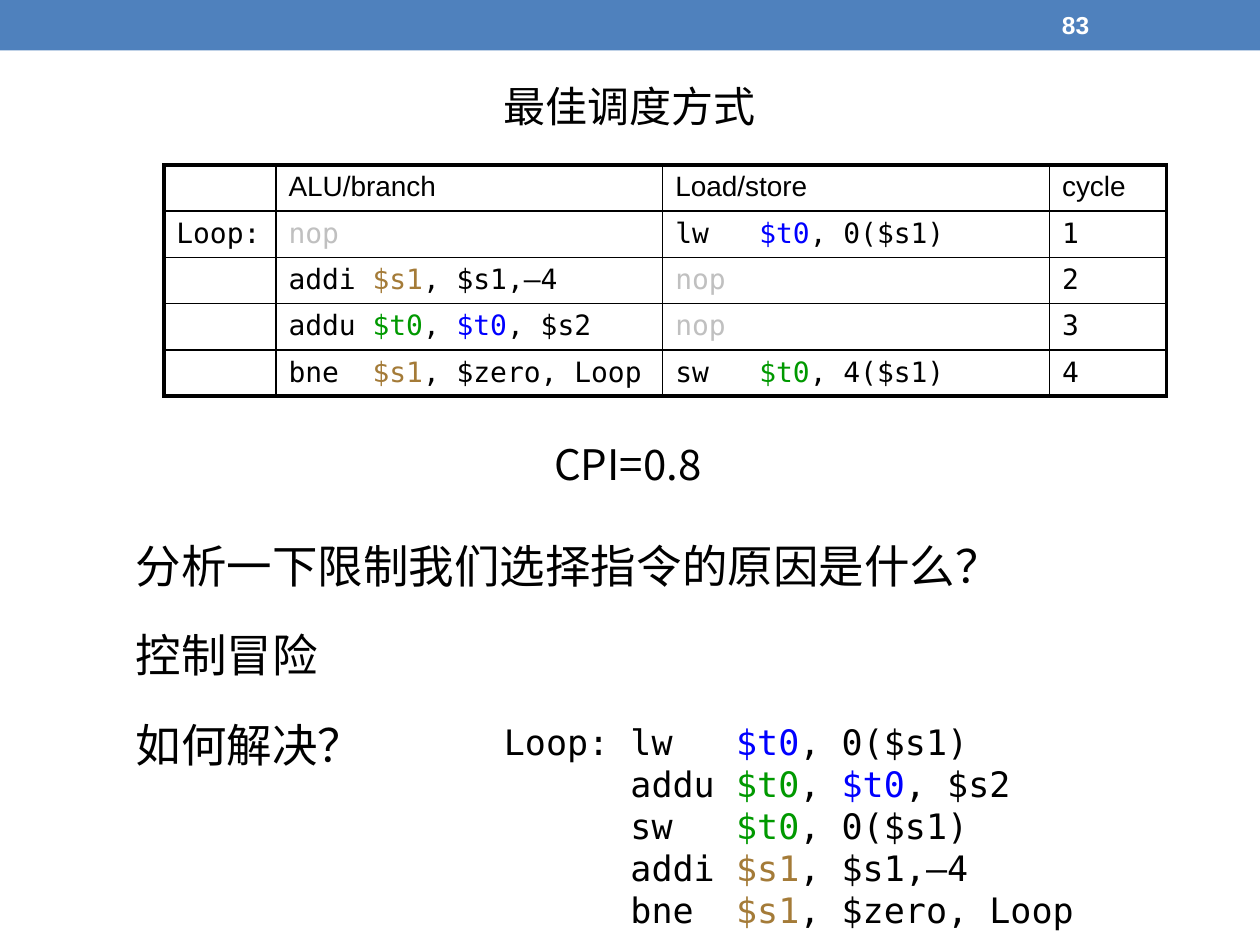
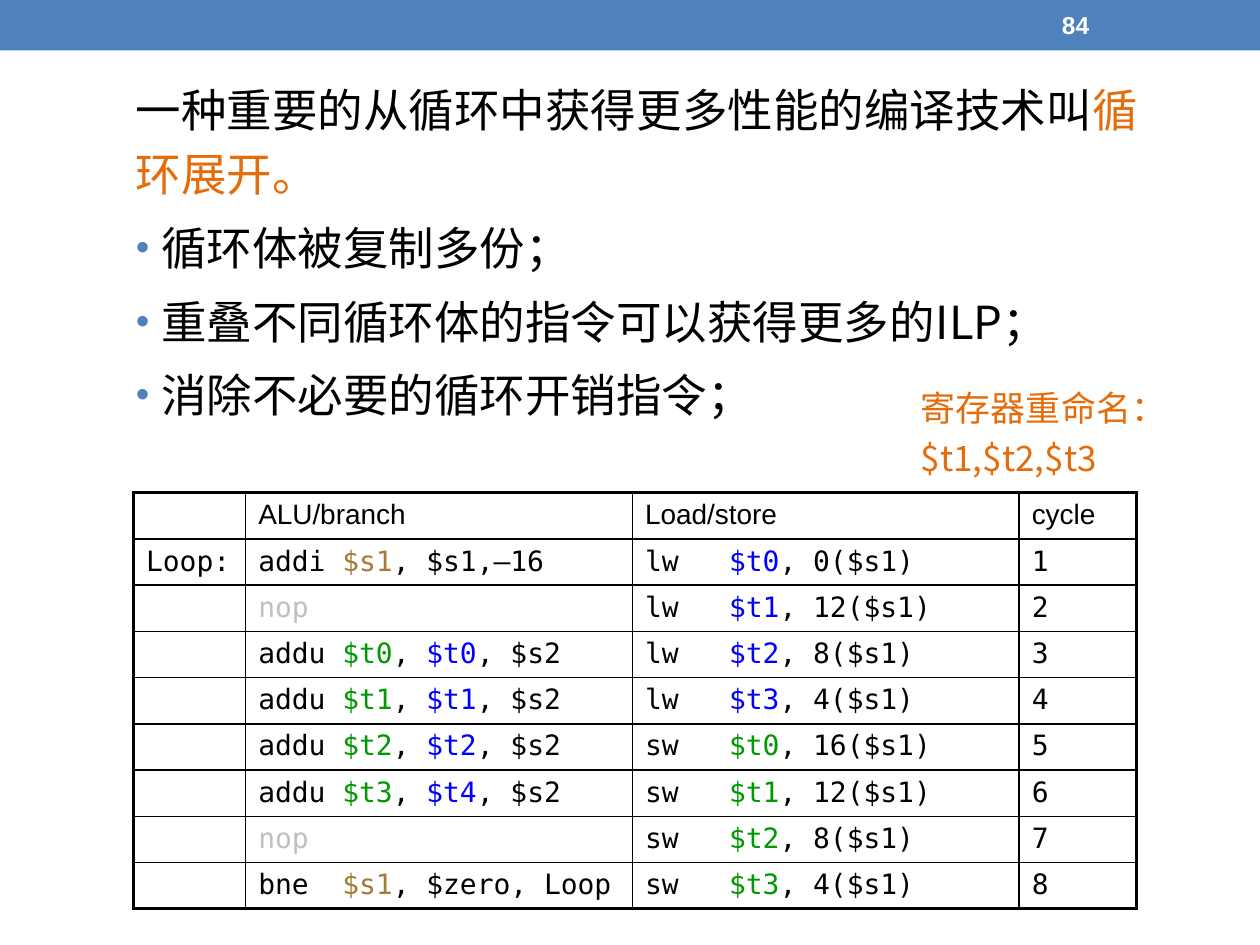
from dataclasses import dataclass
from typing import NamedTuple, Optional

from lxml import etree
from pptx import Presentation
from pptx import util as u
from pptx.dml import color
from pptx.enum import shapes, text
from pptx.oxml import ns

COLORS = {
    "band": "4F81BD", "white": "FFFFFF", "black": "000000", "accent": "E46C0A",
    "idle": "C0C0C0", "loaded": "0000FF", "result": "009900", "pointer": "A47B38",
}
SANS, MONO, CHINESE = "Arial", "DejaVu Sans Mono", "Noto Sans CJK SC"

# Colour roles of the leading operands of each instruction
OPERAND_ROLES = {
    "lw": ["loaded"], "sw": ["result"], "addu": ["result", "loaded"],
    "addi": ["pointer"], "bne": ["pointer"],
}
COLUMN_WIDTHS = [0.89, 3.07, 3.07, 0.93]
HEADINGS = ["", "ALU/branch", "Load/store", "cycle"]
OUTER_LINE, HEADER_LINE, INNER_LINE = 2.25, 1.5, 1


class Run(NamedTuple):
    text: str
    color: str = "black"


class Line(NamedTuple):
    runs: list[Run]
    bullet: bool = False


class Box(NamedTuple):
    left: float
    top: float
    width: float
    height: float

    def lengths(self) -> list[u.Length]:
        return [u.Inches(value) for value in self]


@dataclass
class TextBlock:
    box: Box
    lines: list[Line]
    size: int = 26


@dataclass
class Schedule:
    """Issue slots of one loop, one (ALU/branch, load/store) pair a cycle."""
    box: Box
    row_height: float
    cycles: list[tuple[str, str]]


def instruction_runs(instruction: str) -> list[Run]:
    """Pad the operation to a fixed column and colour its operands by role."""
    if instruction == "nop":
        return [Run("nop", "idle")]
    operation, operand_text = instruction.split(" ", 1)
    roles = OPERAND_ROLES[operation]
    runs = [Run(f"{operation:<5}")]
    for index, operand in enumerate(operand_text.split(", ")):
        if index:
            runs.append(Run(", "))
        runs.append(Run(operand, roles[index] if index < len(roles) else "black"))
    return runs


def add_runs(paragraph, runs: list[Run], font_name: str, size: int,
             bold: Optional[bool] = None) -> None:
    font_format = {"name": font_name, "size": u.Pt(size), "bold": bold}
    for item in runs:
        run = paragraph.add_run()
        run.text = item.text
        for name, value in font_format.items():
            setattr(run.font, name, value)
        run.font.color.rgb = color.RGBColor.from_string(COLORS[item.color])
        latin = run.font._element.find(ns.qn("a:latin"))
        latin.addnext(etree.Element(ns.qn("a:ea"), typeface=font_name))


def add_bullet(paragraph) -> None:
    properties = paragraph._p.get_or_add_pPr()
    properties.set("marL", str(u.Inches(0.2)))
    properties.set("indent", str(-u.Inches(0.2)))
    bullet_color = etree.SubElement(properties, ns.qn("a:buClr"))
    etree.SubElement(bullet_color, ns.qn("a:srgbClr"), val=COLORS["band"])
    etree.SubElement(properties, ns.qn("a:buSzPct"), val="85000")
    etree.SubElement(properties, ns.qn("a:buFont"), typeface=SANS)
    etree.SubElement(properties, ns.qn("a:buChar"), char="•")


def add_text_frame(slide, box: Box, wrap: bool = True):
    frame = slide.shapes.add_textbox(*box.lengths()).text_frame
    frame.word_wrap = wrap
    return frame


def add_text_block(slide, block: TextBlock) -> None:
    frame = add_text_frame(slide, block.box)
    paragraph_format = {"space_before": u.Pt(0.2 * block.size),
                        "line_spacing": u.Pt(1.42 * block.size)}
    for index, line in enumerate(block.lines):
        paragraph = frame.add_paragraph() if index else frame.paragraphs[0]
        for name, value in paragraph_format.items():
            setattr(paragraph, name, value)
        if line.bullet:
            add_bullet(paragraph)
        add_runs(paragraph, line.runs, CHINESE, block.size)


def add_listing(slide, box: Box, instructions: list[str]) -> None:
    paragraph = add_text_frame(slide, box, wrap=False).paragraphs[0]
    paragraph.line_spacing = u.Pt(24)
    for index, instruction in enumerate(instructions):
        if index:
            paragraph.add_line_break()
        label = "" if index else "Loop:"
        runs = [Run(f"{label:<6}"), *instruction_runs(instruction)]
        add_runs(paragraph, runs, MONO, 20)


def set_borders(cell, widths: dict[str, float]) -> None:
    properties = cell._tc.get_or_add_tcPr()
    for index, (side, width) in enumerate(widths.items()):
        line = etree.Element(ns.qn(f"a:ln{side}"), w=str(u.Pt(width)))
        fill = etree.SubElement(line, ns.qn("a:solidFill"))
        etree.SubElement(fill, ns.qn("a:srgbClr"), val=COLORS["black"])
        properties.insert(index, line)


def add_schedule(slide, schedule: Schedule) -> None:
    rows = [[[Run(heading)] if heading else [] for heading in HEADINGS]]
    for cycle, slots in enumerate(schedule.cycles, start=1):
        label = [Run("Loop:")] if cycle == 1 else []
        rows.append([label, *map(instruction_runs, slots), [Run(str(cycle))]])

    last_row, last_column = len(rows) - 1, len(HEADINGS) - 1
    table = slide.shapes.add_table(
        len(rows), len(HEADINGS), *schedule.box.lengths()).table
    table.first_row = table.horz_banding = False
    for column, width in zip(table.columns, COLUMN_WIDTHS):
        column.width = u.Inches(width)

    for row_index, row in enumerate(rows):
        table.rows[row_index].height = u.Inches(schedule.row_height)
        horizontal = {0: OUTER_LINE, 1: HEADER_LINE, last_row + 1: OUTER_LINE}
        for column_index, runs in enumerate(row):
            cell = table.cell(row_index, column_index)
            cell.fill.background()
            paragraph = cell.text_frame.paragraphs[0]
            add_runs(paragraph, runs, MONO if row_index else SANS, 16)
            if not runs:
                etree.SubElement(paragraph._p, ns.qn("a:endParaRPr"), sz="1600")
            set_borders(cell, {
                "L": INNER_LINE if column_index else OUTER_LINE,
                "R": OUTER_LINE if column_index == last_column else INNER_LINE,
                "T": horizontal.get(row_index, INNER_LINE),
                "B": horizontal.get(row_index + 1, INNER_LINE),
            })


def add_page(presentation, number: int):
    """Add a blank slide with the top band and its page number."""
    slide = presentation.slides.add_slide(presentation.slide_layouts[6])
    band = slide.shapes.add_shape(
        shapes.MSO_SHAPE.RECTANGLE, *Box(0, 0, 10, 0.4).lengths())
    band.shadow.inherit = False
    band.fill.solid()
    band.fill.fore_color.rgb = color.RGBColor.from_string(COLORS["band"])
    band.line.fill.background()
    frame = add_text_frame(slide, Box(8.33, 0.02, 1.17, 0.36))
    frame.vertical_anchor = text.MSO_ANCHOR.MIDDLE
    add_runs(frame.paragraphs[0], [Run(str(number), "white")], SANS, 14, bold=True)
    return slide


def build_best_schedule(presentation) -> None:
    slide = add_page(presentation, 83)
    add_schedule(slide, Schedule(Box(1.3, 1.31, 7.96, 1.78), 0.355, [
        ("nop", "lw $t0, 0($s1)"),
        ("addi $s1, $s1,–4", "nop"),
        ("addu $t0, $t0, $s2", "nop"),
        ("bne $s1, $zero, Loop", "sw $t0, 4($s1)"),
    ]))
    for caption, left, top in [("最佳调度方式", 3.9, 0.52), ("CPI=0.8", 4.3, 3.36)]:
        add_text_block(slide, TextBlock(
            Box(left, top, 2.27, 0.63), [Line([Run(caption)])], 24))
    questions = ["分析一下限制我们选择指令的原因是什么？", "控制冒险", "如何解决？"]
    for index, question in enumerate(questions):
        add_text_block(slide, TextBlock(
            Box(0.98, 4.14 + 0.71 * index, 8.43, 0.71), [Line([Run(question)])]))
    add_listing(slide, Box(3.9, 5.67, 4.91, 1.78), [
        "lw $t0, 0($s1)",
        "addu $t0, $t0, $s2",
        "sw $t0, 0($s1)",
        "addi $s1, $s1,–4",
        "bne $s1, $zero, Loop",
    ])


def build_loop_unrolling(presentation) -> None:
    slide = add_page(presentation, 84)
    benefits = ["循环体被复制多份；", "重叠不同循环体的指令可以获得更多的ILP；",
                "消除不必要的循环开销指令；"]
    introduction = Line([Run("一种重要的从循环中获得更多性能的编译技术叫"),
                         Run("循环展开。", "accent")])
    add_text_block(slide, TextBlock(
        Box(0.98, 0.52, 8.43, 3.23),
        [introduction, *(Line([Run(benefit)], bullet=True) for benefit in benefits)]))
    add_schedule(slide, Schedule(Box(1.06, 3.91, 7.96, 3.3), 0.367, [
        ("addi $s1, $s1,–16", "lw $t0, 0($s1)"),
        ("nop", "lw $t1, 12($s1)"),
        ("addu $t0, $t0, $s2", "lw $t2, 8($s1)"),
        ("addu $t1, $t1, $s2", "lw $t3, 4($s1)"),
        ("addu $t2, $t2, $s2", "sw $t0, 16($s1)"),
        ("addu $t3, $t4, $s2", "sw $t1, 12($s1)"),
        ("nop", "sw $t2, 8($s1)"),
        ("bne $s1, $zero, Loop", "sw $t3, 4($s1)"),
    ]))
    add_text_block(slide, TextBlock(
        Box(7.21, 2.96, 2.51, 0.87),
        [Line([Run("寄存器重命名：$t1,$t2,$t3", "accent")])], 20))


def main() -> None:
    presentation = Presentation()
    presentation.slide_width = u.Inches(10)
    presentation.slide_height = u.Inches(7.5)
    build_best_schedule(presentation)
    build_loop_unrolling(presentation)
    presentation.save("out.pptx")


if __name__ == "__main__":
    main()
